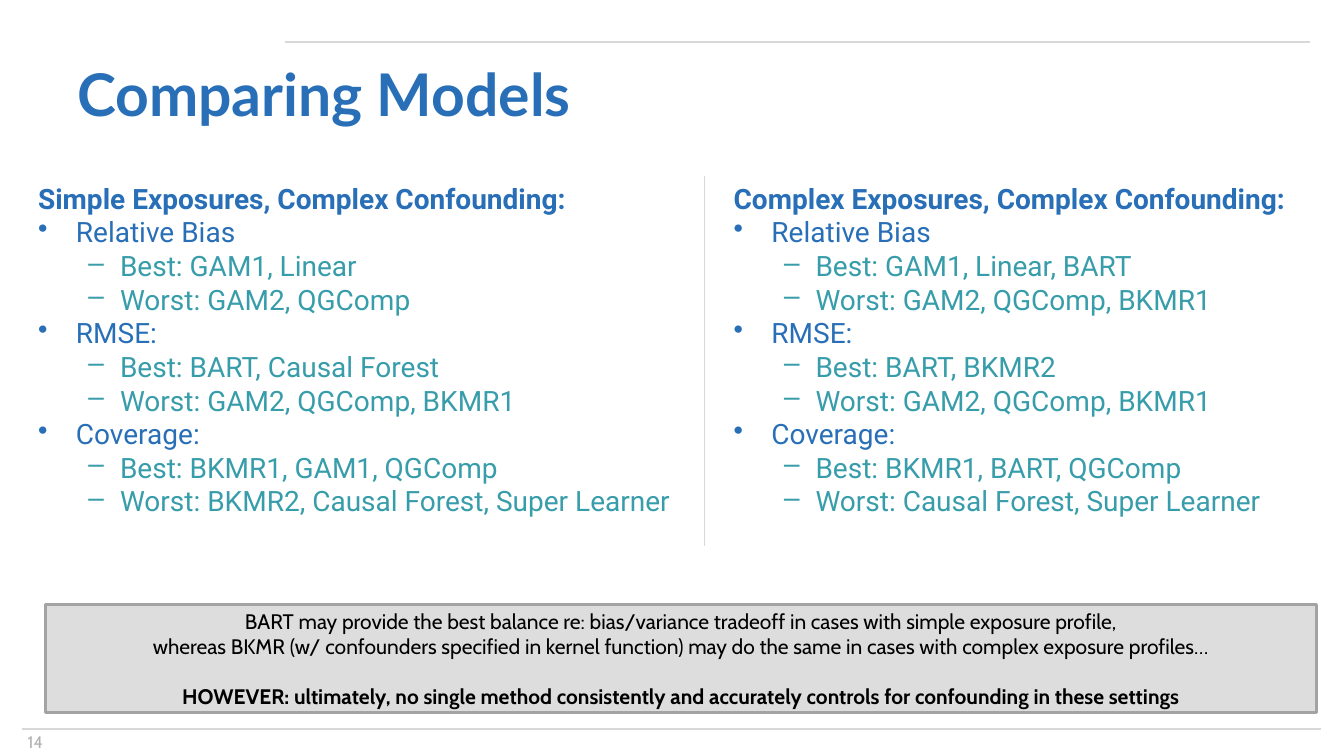
import pptx
import pptx.util
import pptx.dml.color
import pptx.enum.shapes
import pptx.enum.text
import pptx.oxml.ns
from lxml import etree

Pt = pptx.util.Pt
RGB = pptx.dml.color.RGBColor
ALIGN = pptx.enum.text.PP_ALIGN
MIDDLE = pptx.enum.text.MSO_ANCHOR.MIDDLE

BLUE = RGB(0x28, 0x6F, 0xB7)
TEAL = RGB(0x38, 0x9D, 0xAA)
RULE = RGB(0xD8, 0xD8, 0xD8)
PALE = RGB(0xB2, 0xB2, 0xB2)
FILL = RGB(0xDD, 0xDD, 0xDD)
EDGE = RGB(0xA3, 0xA3, 0xA3)
BLACK = RGB(0, 0, 0)

# Left indent, first-line offset, bullet and colour of each list level
LEVELS = [(27, -27, "•", BLUE), (58.5, -22.5, "–", TEAL)]

SIMPLE = ("Simple Exposures, Complex Confounding:", [
    ("Relative Bias", "GAM1, Linear", "GAM2, QGComp"),
    ("RMSE:", "BART, Causal Forest", "GAM2, QGComp, BKMR1"),
    ("Coverage:", "BKMR1, GAM1, QGComp", "BKMR2, Causal Forest, Super Learner"),
])
COMPLEX = ("Complex Exposures, Complex Confounding:", [
    ("Relative Bias", "GAM1, Linear, BART", "GAM2, QGComp, BKMR1"),
    ("RMSE:", "BART, BKMR2", "GAM2, QGComp, BKMR1"),
    ("Coverage:", "BKMR1, BART, QGComp", "Causal Forest, Super Learner"),
])
NOTES = [
    "BART may provide the best balance re: bias/variance tradeoff in cases with simple exposure profile,",
    "whereas BKMR (w/ confounders specified in kernel function) may do the same "
    "in cases with complex exposure profiles…",
    "HOWEVER: ultimately, no single method consistently and accurately controls "
    "for confounding in these settings",
]


def style(para, size, face, color, bold=False):
    for run in para.runs:
        font = run.font
        font.size, font.name, font.bold = Pt(size), face, bold
        font.color.rgb = color


def add_rule(slide, x1, y1, x2, y2, width):
    line = slide.shapes.add_connector(
        pptx.enum.shapes.MSO_CONNECTOR.STRAIGHT, Pt(x1), Pt(y1), Pt(x2), Pt(y2))
    line.line.color.rgb = RULE
    line.line.width = Pt(width)
    etree.SubElement(line._element.spPr, pptx.oxml.ns.qn("a:effectLst"))


def add_box(slide, box):
    frame = slide.shapes.add_textbox(*map(Pt, box)).text_frame
    frame.word_wrap = True
    return frame


def add_item(frame, text, level):
    para = frame.add_paragraph()
    para.text, para.level = text, level
    left, first, mark, color = LEVELS[level]
    props = para._p.get_or_add_pPr()
    props.set("marL", str(Pt(left)))
    props.set("indent", str(Pt(first)))
    etree.SubElement(props, pptx.oxml.ns.qn("a:buChar")).set("char", mark)
    style(para, 20, "Roboto", color)


def add_title(slide, box):
    frame = add_box(slide, box)
    frame.vertical_anchor = MIDDLE
    frame.text = "Comparing Models"
    style(frame.paragraphs[0], 42, "Lato", BLUE, True)


def add_column(slide, box, content):
    head, groups = content
    frame = add_box(slide, box)
    frame.text = head
    style(frame.paragraphs[0], 20, "Roboto", BLUE, True)
    for name, best, worst in groups:
        add_item(frame, name, 0)
        add_item(frame, "Best: " + best, 1)
        add_item(frame, "Worst: " + worst, 1)


def add_note(slide, box):
    panel = slide.shapes.add_shape(
        pptx.enum.shapes.MSO_SHAPE.RECTANGLE, *map(Pt, box))
    panel.shadow.inherit = False
    panel.fill.solid()
    panel.fill.fore_color.rgb = FILL
    panel.line.color.rgb = EDGE
    panel.line.width = Pt(2)
    frame = panel.text_frame
    frame.word_wrap = True
    frame.vertical_anchor = MIDDLE
    frame.text = "\n".join(NOTES)
    for para in frame.paragraphs:
        para.alignment = ALIGN.CENTER
        style(para, 15, "Cabin", BLACK)
    # The conclusion stands one line apart, in bold
    para.space_before = Pt(18)
    style(para, 15, "Cabin", BLACK, True)


def add_number(slide, box):
    frame = add_box(slide, box)
    frame.text = "14"
    frame.paragraphs[0].alignment = ALIGN.CENTER
    style(frame.paragraphs[0], 12, "Cabin", PALE)


def main():
    deck = pptx.Presentation()
    deck.slide_width, deck.slide_height = Pt(960), Pt(540)
    slide = deck.slides.add_slide(deck.slide_layouts[6])

    # Frame: top and bottom rules, page number
    add_rule(slide, 936, 30.24, 203.76, 30.24, 1.5)
    add_rule(slide, 943.92, 520.56, 15.84, 520.56, 1.5)
    add_number(slide, (2.16, 519.12, 46.08, 21.6))

    # Title and the two columns with their divider
    add_title(slide, (48, 30.24, 864, 72))
    for left, content in ((20.16, SIMPLE), (516.96, COMPLEX)):
        add_column(slide, (left, 126, 470.16, 367.92), content)
    add_rule(slide, 503.28, 126, 503.28, 390.24, 0.75)

    # Conclusion
    add_note(slide, (32.4, 432, 907.92, 77.04))
    deck.save("out.pptx")


if __name__ == "__main__":
    main()
